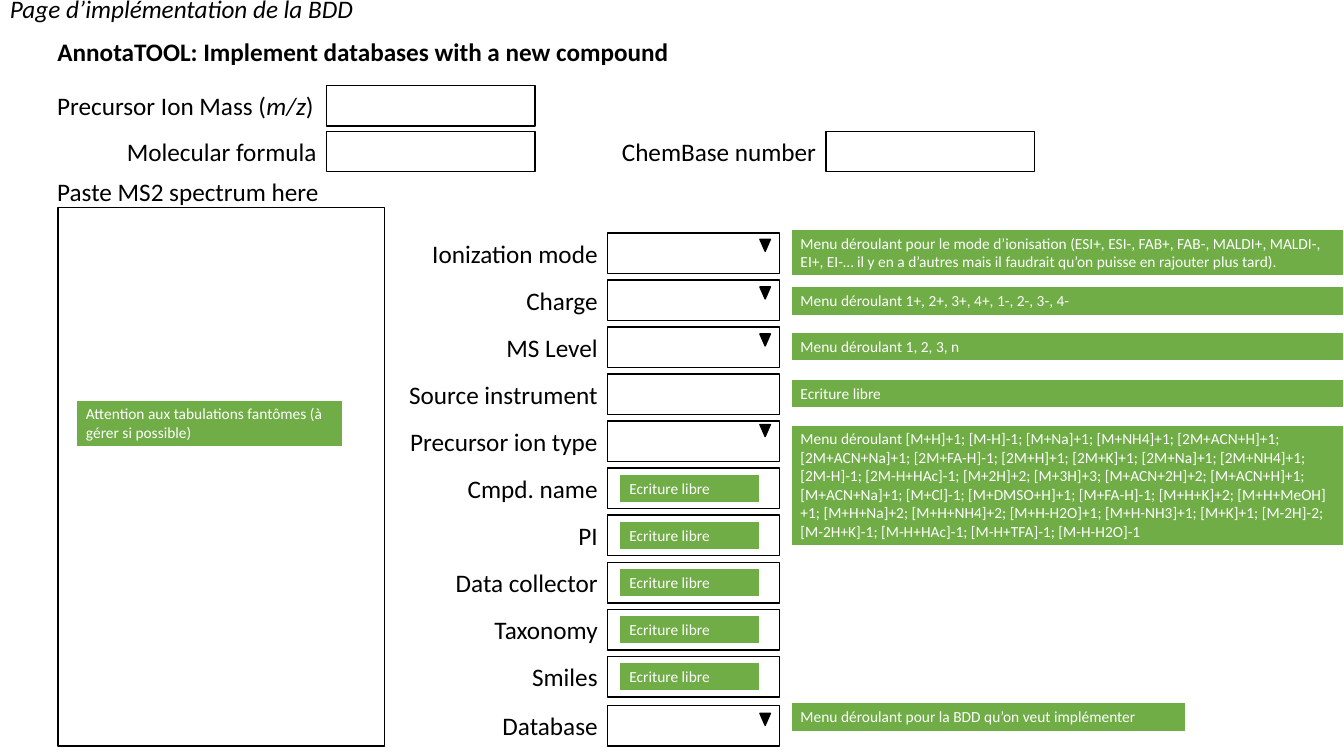
from pptx import Presentation
from pptx import util as u
from pptx.dml import color
from pptx.enum import shapes, text

Pt = u.Pt
RECT = shapes.MSO_SHAPE.RECTANGLE
TRI = shapes.MSO_SHAPE.ISOSCELES_TRIANGLE
BLACK, WHITE, GREEN = "000000", "FFFFFF", "70AD47"
ROW_H, NOTE_H = 29, 21
FREE = "Ecriture libre"
IONS = (
    "Menu déroulant [M+H]+1; [M-H]-1; [M+Na]+1; [M+NH4]+1; [2M+ACN+H]+1; "
    "[2M+ACN+Na]+1; [2M+FA-H]-1; [2M+H]+1; [2M+K]+1; [2M+Na]+1; [2M+NH4]+1; "
    "[2M-H]-1; [2M-H+HAc]-1; [M+2H]+2; [M+3H]+3; [M+ACN+2H]+2; [M+ACN+H]+1; "
    "[M+ACN+Na]+1; [M+Cl]-1; [M+DMSO+H]+1; [M+FA-H]-1; [M+H+K]+2; [M+H+MeOH]+1; "
    "[M+H+Na]+2; [M+H+NH4]+2; [M+H-H2O]+1; [M+H-NH3]+1; [M+K]+1; [M-2H]-2; "
    "[M-2H+K]-1; [M-H+HAc]-1; [M-H+TFA]-1; [M-H-H2O]-1"
)
MODES = (
    "Menu déroulant pour le mode d’ionisation (ESI+, ESI-, FAB+, FAB-, MALDI+, MALDI-, "
    "EI+, EI-… il y en a d’autres mais il faudrait qu’on puisse en rajouter plus tard)."
)
# Label, arrow offset, note (text, offset, height, width), free entry
ROWS = [
    ("Ionization mode", 4.5, (MODES, -2.9, 33.8, 395.3), False),
    ("Charge", 4.9, ("Menu déroulant 1+, 2+, 3+, 4+, 1-, 2-, 3-, 4-", 4.5, NOTE_H, 395.3), False),
    ("MS Level", 4.9, ("Menu déroulant 1, 2, 3, n", 3.4, NOTE_H, 395.3), False),
    ("Source instrument", None, (FREE, 3.6, NOTE_H, 395.3), False),
    ("Precursor ion type", 2.4, (IONS, 2.4, 87.1, 395.3), False),
    ("Cmpd. name", None, None, True),
    ("PI", None, None, True),
    ("Data collector", None, None, True),
    ("Taxonomy", None, None, True),
    ("Smiles", None, None, True),
    ("Database", 5.5, ("Menu déroulant pour la BDD qu’on veut implémenter", -2.3, NOTE_H, 282.2), False),
]


def rgb(code):
    return color.RGBColor.from_string(code)


def style(item, **vals):
    for key, val in vals.items():
        setattr(item, key, val)


def write(shape, runs, size, ink, side="LEFT", wrap=True):
    frame = shape.text_frame
    style(frame, word_wrap=wrap, vertical_anchor=text.MSO_ANCHOR.TOP,
          auto_size=text.MSO_AUTO_SIZE.SHAPE_TO_FIT_TEXT)
    para = frame.paragraphs[0]
    para.alignment = text.PP_ALIGN[side]
    for words, look in runs:
        run = para.add_run()
        run.text = words
        style(run.font, name="Calibri", size=Pt(size), **look)
        run.font.color.rgb = rgb(ink)


def label(slide, box, runs, side="LEFT", wrap=True):
    area = slide.shapes.add_textbox(*map(Pt, box))
    write(area, runs, 18, BLACK, side, wrap)


def block(slide, box, fill=None, line=BLACK, weight=1, kind=RECT):
    shape = slide.shapes.add_shape(kind, *map(Pt, box))
    shape.shadow.inherit = False
    if fill:
        shape.fill.solid()
        shape.fill.fore_color.rgb = rgb(fill)
    else:
        shape.fill.background()
    shape.line.color.rgb = rgb(line)
    shape.line.width = Pt(weight)
    return shape


def note(slide, box, words):
    write(block(slide, box, GREEN, WHITE, 1.5), [(words, {})], 11, WHITE)


def head(slide, x, y):
    """Page caption and form title."""
    label(slide, (x, y, 263, ROW_H), [("Page d’implémentation de la BDD", {"italic": True})], wrap=False)
    label(slide, (x + 34, y + 30.3, 454, ROW_H),
          [("AnnotaTOOL: Implement databases with a new compound", {"bold": True})], wrap=False)


def query(slide, x, y):
    """Mass, formula and database number fields."""
    mass = [("Precursor Ion Mass (", {}), ("m/z", {"italic": True}), (")", {})]
    fields = [
        (0, 0, mass, "LEFT", False),
        (0, 32.7, [("Molecular formula", {})], "RIGHT", True),
        (356.8, 32.7, [("ChemBase number", {})], "RIGHT", True),
    ]
    for dx, dy, runs, side, wrap in fields:
        label(slide, (x + dx, y + dy, 199.5, ROW_H), runs, side, wrap)
        block(slide, (x + dx + 199.5, y + dy, 149, ROW_H))


def paste(slide, x, y):
    """Spectrum area with its warning."""
    label(slide, (x, y, 203, ROW_H), [("Paste MS2 spectrum here", {})], wrap=False)
    block(slide, (x + 7.5, y + 26, 233.5, 384.5))
    note(slide, (x + 20.5, y + 163, 190.8, 33.8),
         "Attention aux tabulations fantômes (à gérer si possible)")


def form(slide, x, y, pitch, last):
    """Labelled rows of entries; the final row stands lower."""
    for i, (name, arrow, hint, free) in enumerate(ROWS):
        top = last if i == len(ROWS) - 1 else y + i * pitch
        label(slide, (x, top, 159.5, ROW_H), [(name, {})], "RIGHT")
        block(slide, (x + 159.5, top, 122.6, ROW_H))
        if arrow is not None:
            mark = block(slide, (x + 268.3, top + arrow, 7.5, 8.6), BLACK, kind=TRI)
            mark.rotation = 180
        if hint:
            words, dy, high, wide = hint
            note(slide, (x + 290.2, top + dy, wide, high), words)
        if free:
            note(slide, (x + 168, top + 4.2, 100.8, NOTE_H), FREE)


def main():
    deck = Presentation()
    style(deck, slide_width=Pt(960), slide_height=Pt(540))
    slide = deck.slides.add_slide(deck.slide_layouts[6])
    head(slide, 0, -8)
    query(slide, 33.8, 61)
    paste(slide, 33.8, 122.4)
    form(slide, 274.5, 166.4, 33.6, 504)
    deck.save("out.pptx")


if __name__ == "__main__":
    main()
